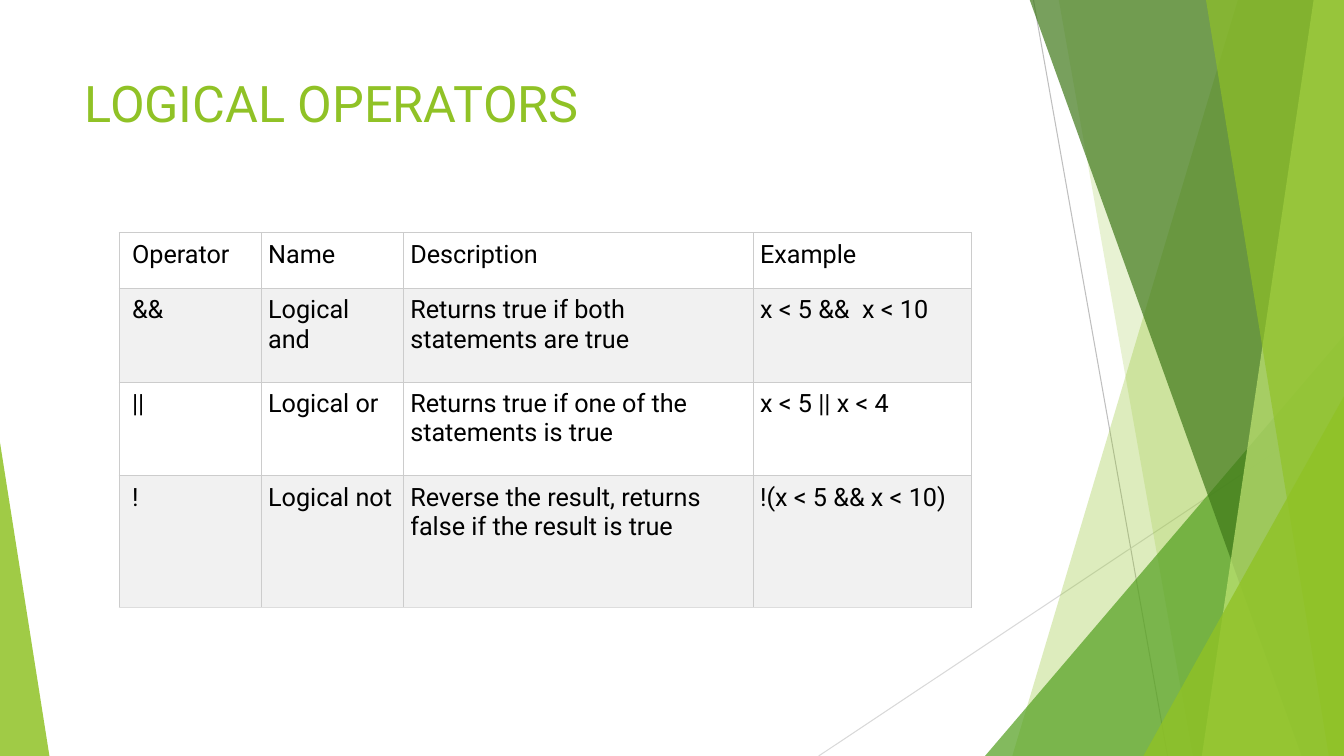
"""Build the slide on logical operators: green facets, a title and a table."""
from lxml.etree import SubElement
from pptx import Presentation
from pptx.dml.color import RGBColor
from pptx.enum.shapes import MSO_CONNECTOR, MSO_SHAPE
from pptx.oxml.ns import qn
from pptx.util import Inches, Pt

GREEN = RGBColor(0x90, 0xC2, 0x26)
LEAF = RGBColor(0x54, 0xA0, 0x21)
MOSS = RGBColor(0x3F, 0x78, 0x19)
LIME = RGBColor(0xC0, 0xE4, 0x74)
BLACK = RGBColor(0, 0, 0)
WHITE = RGBColor(0xFF, 0xFF, 0xFF)
PALE = RGBColor(0xF1, 0xF1, 0xF1)
MIST = RGBColor(0xD9, 0xD9, 0xD9)
GREY = RGBColor(0xBF, 0xBF, 0xBF)
EDGE = RGBColor(0xCC, 0xCC, 0xCC)
BASE = RGBColor(0xDD, 0xDD, 0xDD)
WIDE, HIGH = 13.33, 7.5


def write(frame, text, size=18, color=BLACK, font="Roboto"):
    frame.word_wrap = True
    run = frame.paragraphs[0].add_run()
    run.text = text
    run.font.size = Pt(size)
    run.font.name = font
    run.font.color.rgb = color


def paint(shape, color, alpha):
    shape.shadow.inherit = False
    shape.line.fill.background()
    shape.fill.solid()
    shape.fill.fore_color.rgb = color
    tint = shape.fill._xPr.find(qn("a:solidFill"))[0]
    SubElement(tint, qn("a:alpha"), val=str(alpha * 1000))


deck = Presentation()
deck.slide_width, deck.slide_height = Inches(WIDE), Inches(HIGH)
slide = deck.slides.add_slide(deck.slide_layouts[6])
shapes = slide.shapes

for x1, y1, x2, color in [(10.25, 0, 11.58, GREY), (WIDE, 4.03, 8.12, MIST)]:
    line = shapes.add_connector(MSO_CONNECTOR.STRAIGHT, Inches(x1), Inches(y1),
                                Inches(x2), Inches(HIGH))
    line.line.color.rgb = color
    line.line.width = Pt(0.75)
    SubElement(line._element.spPr, qn("a:effectLst"))

facets = [
    ("band", 12.28, 10.04, GREEN, 30),
    ("band", 10.5, 11.83, GREEN, 20),
    ("peak", 9.77, 3.56, 4.17, 1, LEAF, 72),
    ("band", 10.21, 12.91, MOSS, 70),
    ("band", 13.03, 11.92, LIME, 70),
    ("band", 11.96, 13.18, GREEN, 65),
    ("peak", 11.34, 1.99, 3.57, 1, GREEN, 80),
    ("peak", 0, 0.49, 3.11, 0, GREEN, 85),
]
for kind, *spec, color, alpha in facets:
    if kind == "band":
        top, foot = spec
        pen = shapes.build_freeform(Inches(top), Inches(-0.01))
        pen.add_line_segments([(Inches(WIDE), Inches(-0.01)),
                               (Inches(WIDE), Inches(HIGH)),
                               (Inches(foot), Inches(HIGH))])
        facet = pen.convert_to_shape()
    else:
        left, width, height, tip = spec
        facet = shapes.add_shape(MSO_SHAPE.ISOSCELES_TRIANGLE, Inches(left),
                                 Inches(HIGH - height), Inches(width), Inches(height))
        facet.adjustments[0] = tip
    paint(facet, color, alpha)

title = shapes.add_textbox(Inches(0.74), Inches(0.67), Inches(9.4), Inches(1.44))
write(title.text_frame, "LOGICAL OPERATORS", size=36, color=GREEN)

rows = [
    ("Operator", "Name", "Description", "Example"),
    ("&&", "Logical and", "Returns true if both statements are true", "x < 5 &&  x < 10"),
    ("||", "Logical or", "Returns true if one of the statements is true", "x < 5 || x < 4"),
    ("!", "Logical not", "Reverse the result, returns false if the result is true",
     "!(x < 5 && x < 10)"),
]
widths = [1.41, 1.41, 3.47, 2.16]
heights = [0.55, 0.93, 0.93, 1.31]
table = shapes.add_table(len(rows), len(widths), Inches(1.18), Inches(2.31),
                         Inches(sum(widths)), Inches(sum(heights))).table
table.first_row = table.horz_banding = False
for col, width in zip(table.columns, widths):
    col.width = Inches(width)
for r, texts in enumerate(rows):
    table.rows[r].height = Inches(heights[r])
    for c, text in enumerate(texts):
        cell = table.cell(r, c)
        cell.margin_left = Inches(0.07 if c else 0.13)
        cell.margin_top = cell.margin_right = cell.margin_bottom = Inches(0.07)
        write(cell.text_frame, text)
        props = cell._tc.get_or_add_tcPr()
        for side in ("lnL", "lnR", "lnT", "lnB"):
            last = side == "lnB" and r == len(rows) - 1
            edge = SubElement(props, qn("a:" + side), w=str(Pt(0.6)))
            fill = SubElement(edge, qn("a:solidFill"))
            SubElement(fill, qn("a:srgbClr"), val=str(BASE if last else EDGE))
        cell.fill.solid()
        cell.fill.fore_color.rgb = PALE if r % 2 else WHITE

deck.save("out.pptx")
